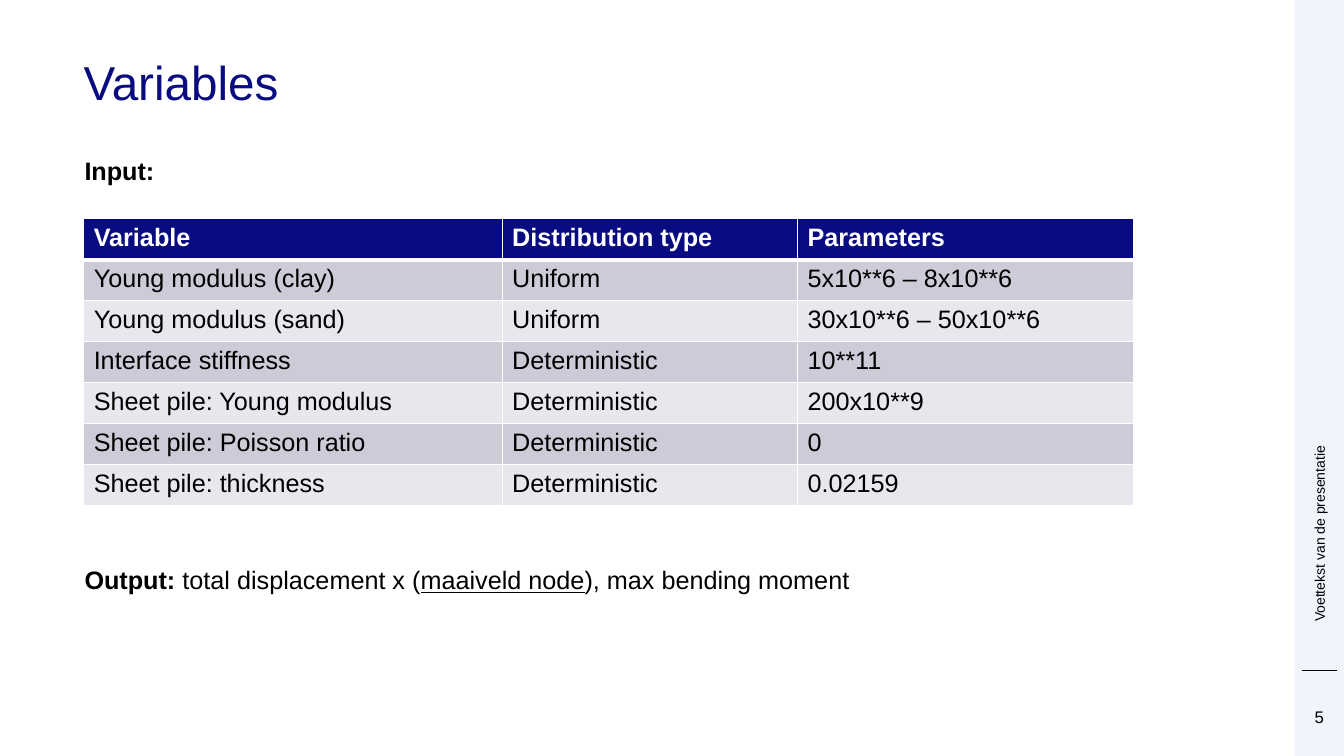
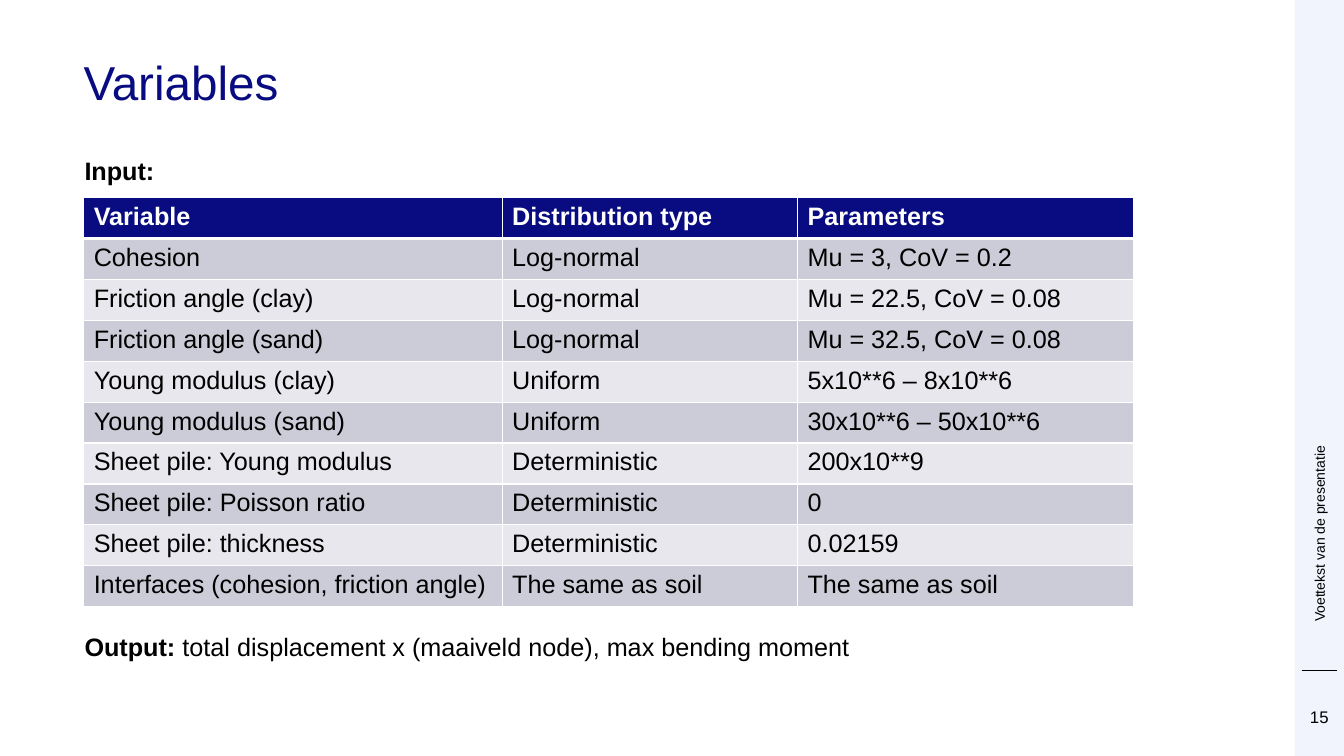
from dataclasses import dataclass

from lxml.etree import SubElement
from pptx import Presentation
from pptx.dml.color import RGBColor
from pptx.enum.shapes import MSO_CONNECTOR, MSO_SHAPE
from pptx.enum.text import MSO_ANCHOR, PP_ALIGN
from pptx.oxml import parse_xml
from pptx.oxml.ns import nsdecls, qn
from pptx.util import Inches, Pt

TITLE = "Variables"
FOOTER = "Voettekst van de presentatie"
HEADER = ("Variable", "Distribution type", "Parameters")
YOUNG_SOIL = [
    ("Young modulus (clay)", "Uniform", "5x10**6 – 8x10**6"),
    ("Young modulus (sand)", "Uniform", "30x10**6 – 50x10**6"),
]
SHEET_PILE = [
    ("Sheet pile: Young modulus", "Deterministic", "200x10**9"),
    ("Sheet pile: Poisson ratio", "Deterministic", "0"),
    ("Sheet pile: thickness", "Deterministic", "0.02159"),
]
INPUT = [("Input:", "bold")]
OUTPUT_LABEL = ("Output:", "bold")

SLIDES = [
    {
        "number": 5,
        "table_top": 2.17,
        "rows": [
            *YOUNG_SOIL,
            ("Interface stiffness", "Deterministic", "10**11"),
            *SHEET_PILE,
        ],
        "output_top": 5.55,
        "output": [
            OUTPUT_LABEL,
            (" total displacement x (", None),
            ("maaiveld node", "underline"),
            ("), max bending moment", None),
        ],
    },
    {
        "number": 15,
        "table_top": 1.96,
        "rows": [
            ("Cohesion", "Log-normal", "Mu = 3, CoV = 0.2"),
            ("Friction angle (clay)", "Log-normal", "Mu = 22.5, CoV = 0.08"),
            ("Friction angle (sand)", "Log-normal", "Mu = 32.5, CoV = 0.08"),
            *YOUNG_SOIL,
            *SHEET_PILE,
            ("Interfaces (cohesion, friction angle)",
             "The same as soil", "The same as soil"),
        ],
        "output_top": 6.21,
        "output": [
            OUTPUT_LABEL,
            (" total displacement x (maaiveld node), max bending moment", None),
        ],
    },
]


@dataclass(frozen=True)
class Theme:
    font: str = "Arial"
    navy: str = "080C80"
    black: str = "000000"
    white: str = "FFFFFF"
    band: str = "F1F3FD"
    stripes: tuple = ("CCCCD8", "E7E7ED")
    title_size: int = 34
    body_size: int = 18
    number_size: int = 12
    footer_size: int = 10


THEME = Theme()
WIDTH, HEIGHT = 13.33, 7.5
MARGIN = 0.83
TOP = 0.59
BAND_WIDTH = 0.49
BAND_LEFT = WIDTH - BAND_WIDTH
RULE_INSET = 0.07
LABEL_LEFT = 0.74
LABEL_HEIGHT = 0.4
COLUMNS = (4.15, 2.93, 3.33)
ROW_HEIGHT = 4.06 / 10


def color(value):
    return RGBColor.from_string(value)


def write(frame, runs, size=THEME.body_size, fill=THEME.black,
          align=PP_ALIGN.LEFT, spacing=None):
    """Fill the first paragraph with (text, emphasis) runs or a plain string."""
    paragraph = frame.paragraphs[0]
    paragraph.alignment = align
    if spacing:
        paragraph.line_spacing = spacing
    for text, emphasis in [(runs, None)] if isinstance(runs, str) else runs:
        run = paragraph.add_run()
        run.text = text
        run.font.name = THEME.font
        run.font.size = Pt(size)
        run.font.color.rgb = color(fill)
        run.font.bold = emphasis == "bold"
        run.font.underline = emphasis == "underline"


def add_text(slide, box, runs, inset=True, wrap=True, vertical=False, **text_format):
    shape = slide.shapes.add_textbox(*map(Inches, box))
    frame = shape.text_frame
    frame.word_wrap = wrap
    if not inset:
        frame.margin_left = frame.margin_right = 0
        frame.margin_top = frame.margin_bottom = 0
    if vertical:
        frame.vertical_anchor = MSO_ANCHOR.MIDDLE
        shape.element.txBody.bodyPr.set("vert", "vert270")
    write(frame, runs, **text_format)


def add_frame(slide, number):
    """Add the title and the side band with its footer and slide number."""
    band = slide.shapes.add_shape(
        MSO_SHAPE.RECTANGLE, *map(Inches, (BAND_LEFT, 0, BAND_WIDTH, HEIGHT)))
    band.shadow.inherit = False
    band.fill.solid()
    band.fill.fore_color.rgb = color(THEME.band)
    band.line.fill.background()

    rule = slide.shapes.add_connector(MSO_CONNECTOR.STRAIGHT, *map(Inches, (
        BAND_LEFT + RULE_INSET, 6.65, WIDTH - RULE_INSET, 6.65)))
    rule.line.color.rgb = color(THEME.black)
    rule.line.width = Pt(0.5)
    SubElement(rule.element.spPr, qn("a:effectLst"))

    add_text(slide, (MARGIN, TOP, 11.5, 1.02), TITLE, inset=False,
             size=THEME.title_size, fill=THEME.navy, spacing=0.9)
    add_text(slide, (13, TOP, 0.17, 5.58), FOOTER, inset=False,
             vertical=True, size=THEME.footer_size)
    add_text(slide, (BAND_LEFT, 7.01, BAND_WIDTH, 0.2), str(number), inset=False,
             size=THEME.number_size, align=PP_ALIGN.CENTER)


def set_borders(cell, top, bottom):
    """Draw white borders; top and bottom are widths in points."""
    properties = cell._tc.get_or_add_tcPr()
    widths = {"lnL": 1, "lnR": 1, "lnT": top, "lnB": bottom}
    for position, (side, width) in enumerate(widths.items()):
        properties.insert(position, parse_xml(
            f'<a:{side} {nsdecls("a")} w="{Pt(width)}"><a:solidFill>'
            f'<a:srgbClr val="{THEME.white}"/></a:solidFill></a:{side}>'))


def add_variable_table(slide, top, rows):
    rows = [HEADER, *rows]
    table = slide.shapes.add_table(
        len(rows), len(COLUMNS), *map(Inches, (
            MARGIN, top, sum(COLUMNS), ROW_HEIGHT * len(rows)))).table
    for column, width in zip(table.columns, COLUMNS):
        column.width = Inches(width)
    for row_index, values in enumerate(rows):
        table.rows[row_index].height = Inches(ROW_HEIGHT)
        is_header = row_index == 0
        background = THEME.navy if is_header else THEME.stripes[(row_index - 1) % 2]
        for column_index, value in enumerate(values):
            cell = table.cell(row_index, column_index)
            cell.fill.solid()
            cell.fill.fore_color.rgb = color(background)
            set_borders(cell, top=3 if row_index == 1 else 1,
                        bottom=3 if is_header else 1)
            write(cell.text_frame, [(value, "bold" if is_header else None)],
                  fill=THEME.white if is_header else THEME.black)


def main():
    presentation = Presentation()
    presentation.slide_width = Inches(WIDTH)
    presentation.slide_height = Inches(HEIGHT)
    for content in SLIDES:
        slide = presentation.slides.add_slide(presentation.slide_layouts[6])
        add_frame(slide, content["number"])
        add_variable_table(slide, content["table_top"], content["rows"])
        add_text(slide, (LABEL_LEFT, 1.49, 0.9, LABEL_HEIGHT), INPUT, wrap=False)
        add_text(slide, (LABEL_LEFT, content["output_top"], 7.86, LABEL_HEIGHT),
                 content["output"], wrap=False)
    presentation.save("out.pptx")


if __name__ == "__main__":
    main()
